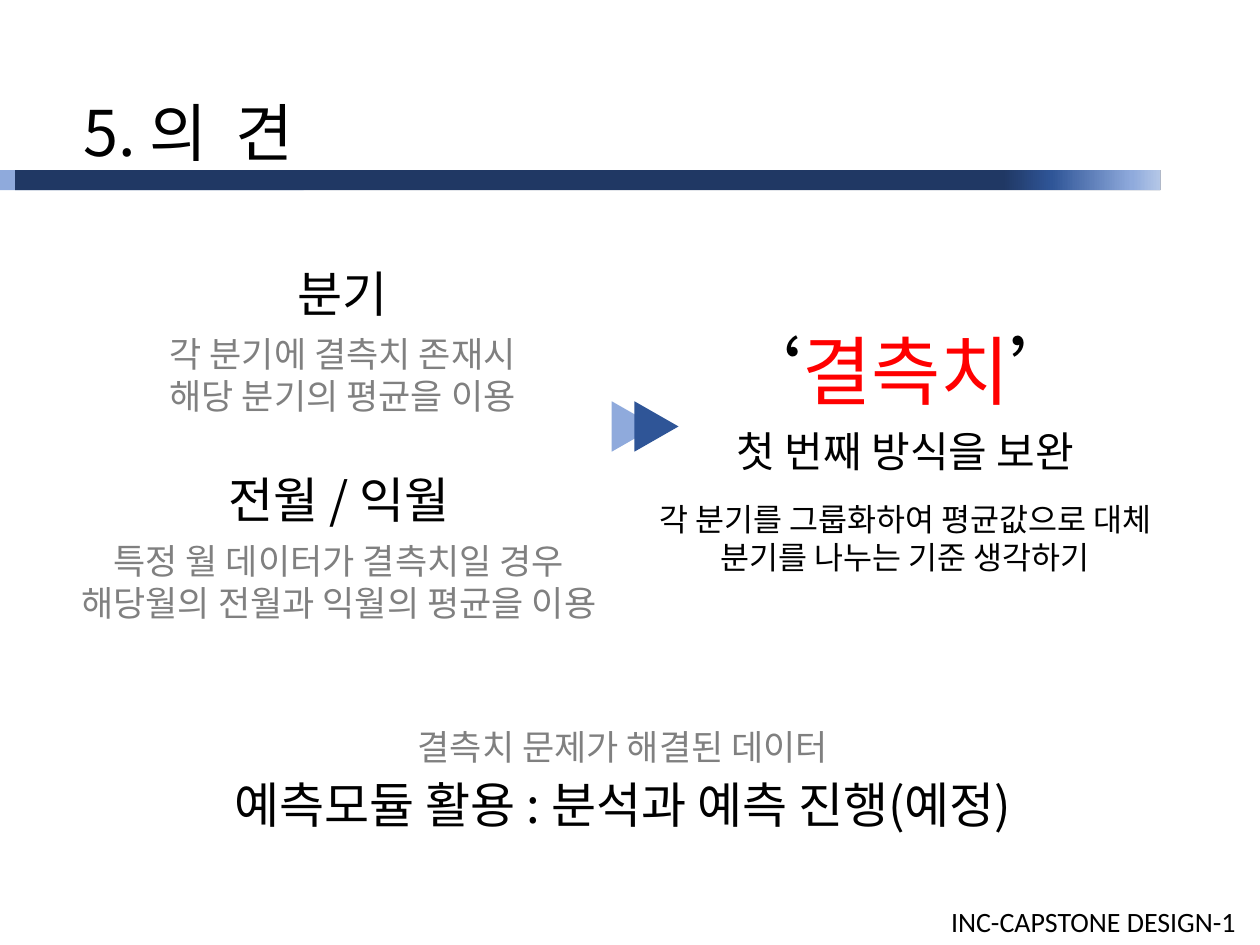
from lxml import etree
from pptx import Presentation
from pptx.dml.color import RGBColor
from pptx.enum.shapes import MSO_SHAPE
from pptx.enum.text import MSO_ANCHOR, PP_ALIGN
from pptx.oxml.ns import qn
from pptx.util import Inches, Pt

RECT, TRI = MSO_SHAPE.RECTANGLE, MSO_SHAPE.ISOSCELES_TRIANGLE
LEFT, MID, TOP = PP_ALIGN.LEFT, PP_ALIGN.CENTER, MSO_ANCHOR.TOP
BLACK = RGBColor(0x00, 0x00, 0x00)
GREY = RGBColor(0x80, 0x80, 0x80)
RED = RGBColor(0xFF, 0x00, 0x00)
PALE = RGBColor(0xB4, 0xC7, 0xE7)
LIGHT = RGBColor(0x8F, 0xAA, 0xDC)
BLUE = RGBColor(0x2F, 0x55, 0x97)
NAVY = RGBColor(0x20, 0x38, 0x64)
KOREAN = "Noto Sans CJK KR"
LEAD = 1.2  # line height in ems

prs = Presentation()
prs.slide_width, prs.slide_height = Inches(10), Inches(7.5)
slide = prs.slides.add_slide(prs.slide_layouts[5])


def write(lines, at, box=None, align=MID, font=KOREAN, drop=0.1):
    """Fill a box; a line is (size, space before, [(text, colour), ...])."""
    box = box or slide.shapes.add_textbox(0, 0, 0, 0)
    box.left, box.top, box.width, box.height = map(Inches, at)
    frame = box.text_frame
    frame.word_wrap, frame.vertical_anchor = True, TOP
    frame.margin_top = Inches(0.05) + Pt(drop * lines[0][0])
    for i, (size, gap, runs) in enumerate(lines):
        para = frame.add_paragraph() if i else frame.paragraphs[0]
        para.alignment = align
        para.space_before = Pt(gap)
        para.line_spacing = Pt(LEAD * size)
        for text, color in runs:
            run = para.add_run()
            run.text = text
            run.font.size, run.font.name = Pt(size), font
            run.font.color.rgb = color
            east = etree.SubElement(run.font._element, qn("a:ea"))
            east.set("typeface", font)


def draw(kind, at, color, turn=0):
    shape = slide.shapes.add_shape(kind, *map(Inches, at))
    shape.shadow.inherit = False
    shape.fill.solid()
    shape.fill.fore_color.rgb = color
    shape.line.fill.background()
    shape.rotation = turn
    return shape


# Title bar, fading out at its right end
BAR, THICK = 1.35, 0.16
draw(RECT, (0, BAR, 2.41, THICK), LIGHT)
draw(RECT, (0.12, BAR, 9.09, THICK), NAVY)
fade = draw(RECT, (7.96, BAR, 1.25, THICK), NAVY)
fade.fill.gradient()
fade.fill.gradient_angle = 180
stops = fade._element.spPr.find(qn("a:gradFill")).find(qn("a:gsLst"))
for old in list(stops):
    stops.remove(old)
for pos, color in ((0, PALE), (18, LIGHT), (69, BLUE), (100, NAVY)):
    stop = etree.SubElement(stops, qn("a:gs"), pos=str(pos * 1000))
    etree.SubElement(stop, qn("a:srgbClr"), val=str(color))

# Title and footer
write([(36, 0, [("5. 의  견", BLACK)])], (0.56, 0.64, 7.24, 0.71),
      box=slide.shapes.title, align=LEFT)
write([(16, 0, [("INC-CAPSTONE DESIGN-1", BLACK)])], (7.45, 7.13, 2.55, 0.37),
      align=LEFT, font="Calibri", drop=0)

# Two methods on the left
for at, head, *notes in (
    ((0.63, 2, 4.18, 1.38), "분기",
     "각 분기에 결측치 존재시", "해당 분기의 평균을 이용"),
    ((0.25, 3.64, 4.88, 1.38), "전월 / 익월",
     "특정 월 데이터가 결측치일 경우", "해당월의 전월과 익월의 평균을 이용"),
):
    write([(28, 0, [(head, BLACK)]), (20, 6, [(notes[0], GREY)]),
           (20, 0, [(notes[1], GREY)])], at)

# Chosen method on the right
write([(24, 0, [("첫 번째 방식을 보완", BLACK)]),
       (18, 14, [("각 분기를 그룹화하여 평균값으로 대체", BLACK)]),
       (18, 0, [("분기를 나누는 기준 생각하기", BLACK)])], (3.94, 3.29, 6.49, 1.31))
write([(43, 0, [("‘", BLACK), ("결측치", RED), ("’", BLACK)])],
      (4.57, 2.46, 5.24, 0.81))

# Double arrow
pair = [draw(TRI, (x, 3.21, 0.4, 0.35), color, turn=90)
        for x, color in ((4.83, LIGHT), (5.01, BLUE))]
slide.shapes.add_group_shape(pair)

# Outcome
write([(20, 0, [("결측치 문제가 해결된 데이터", GREY)]),
       (28, 4, [("예측모듈 활용 : 분석과 예측 진행(예정)", BLACK)])],
      (1.02, 5.68, 7.85, 0.96))

prs.save("out.pptx")
